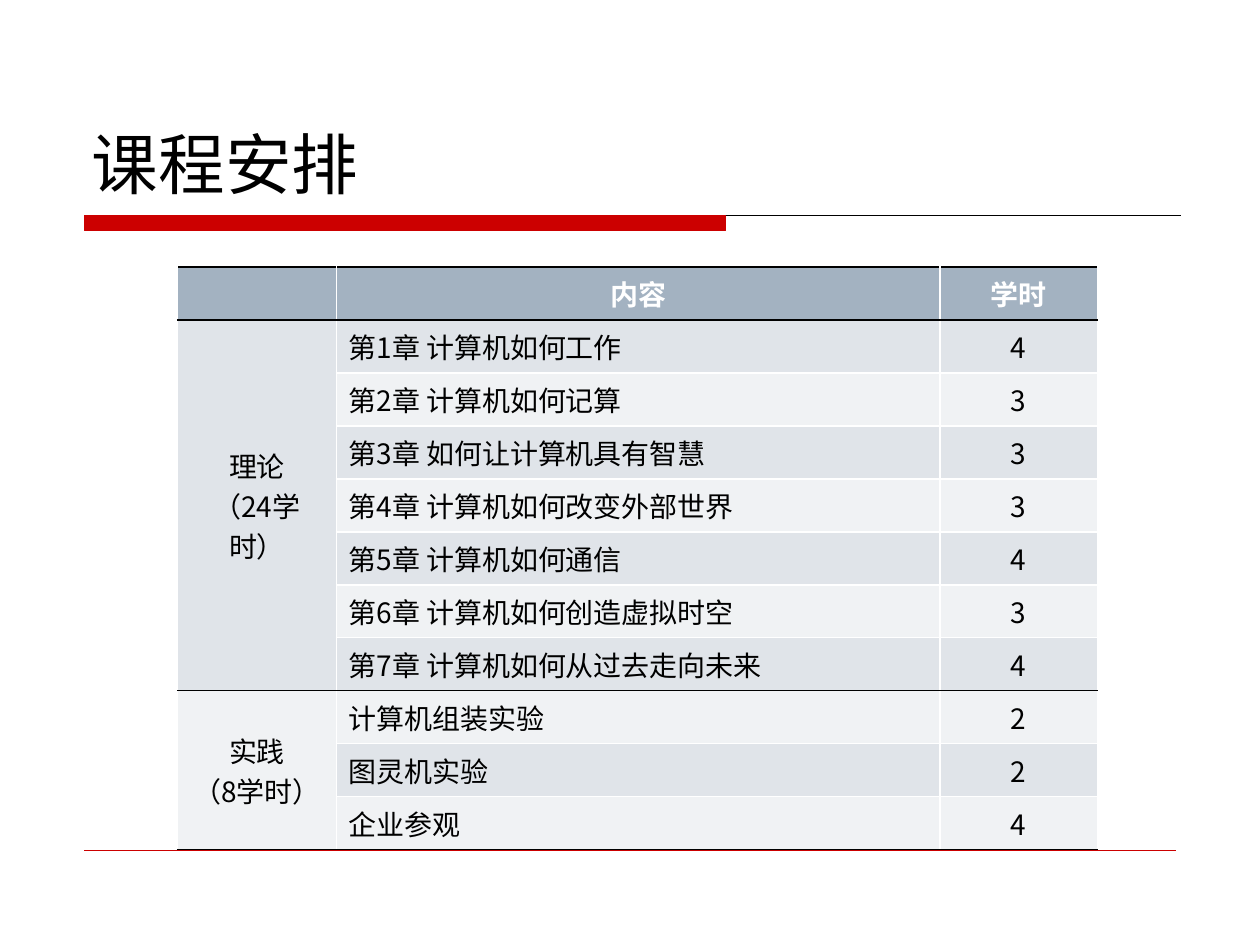
from dataclasses import dataclass

import pptx
import pptx.dml.color
import pptx.enum.shapes
import pptx.enum.text
import pptx.oxml
import pptx.oxml.ns
import pptx.util
from pptx.util import Cm

ALIGN = pptx.enum.text.PP_ALIGN
ANCHOR = pptx.enum.text.MSO_ANCHOR


@dataclass(frozen=True)
class Theme:
    font: str = "Noto Sans CJK SC"
    title_size: float = 38
    table_size: float = 16
    ink: str = "000000"
    paper: str = "FFFFFF"
    accent: str = "CC0000"
    header: str = "A3B2C1"
    bands: tuple = ("E0E4E9", "F0F2F4")


THEME = Theme()

HEADINGS = ("", "内容", "学时")
SECTIONS = (
    (("理论", "（24学时）"), (
        ("第1章 计算机如何工作", 4),
        ("第2章 计算机如何记算", 3),
        ("第3章 如何让计算机具有智慧", 3),
        ("第4章 计算机如何改变外部世界", 3),
        ("第5章 计算机如何通信", 4),
        ("第6章 计算机如何创造虚拟时空", 3),
        ("第7章 计算机如何从过去走向未来", 4),
    )),
    (("实践", "（8学时）"), (
        ("计算机组装实验", 2),
        ("图灵机实验", 2),
        ("企业参观", 4),
    )),
)


def rgb(value):
    return pptx.dml.color.RGBColor.from_string(value)


def write(frame, lines, size, color, align, bold=False):
    for number, line in enumerate(lines):
        paragraph = frame.add_paragraph() if number else frame.paragraphs[0]
        paragraph.alignment = align
        run = paragraph.add_run()
        run.text = line
        run.font.size = pptx.util.Pt(size)
        run.font.bold = bold
        run.font.color.rgb = rgb(color)
        run.font.name = THEME.font
        east_asian = pptx.oxml.parse_xml(
            f'<a:ea {pptx.oxml.ns.nsdecls("a")} typeface="{THEME.font}"/>')
        run.font._element.append(east_asian)


def add_rule(slide, left, top, width, color, weight):
    rule = slide.shapes.add_connector(
        pptx.enum.shapes.MSO_CONNECTOR.STRAIGHT, left, top, left + width, top)
    rule.line.color.rgb = rgb(color)
    rule.line.width = pptx.util.Pt(weight)
    rule._element.spPr.append(
        pptx.oxml.parse_xml(f'<a:effectLst {pptx.oxml.ns.nsdecls("a")}/>'))


def add_header(slide, left, top, width, height):
    """Place the title, with a thick and thin rule along the foot of the box."""
    bar_height = Cm(0.3)
    bar_top = top + height - bar_height
    add_rule(slide, left, bar_top, width, THEME.ink, 0.75)
    bar = slide.shapes.add_shape(
        pptx.enum.shapes.MSO_SHAPE.RECTANGLE, left, bar_top, Cm(12.93), bar_height)
    bar.shadow.inherit = False
    bar.fill.solid()
    bar.fill.fore_color.rgb = rgb(THEME.accent)
    bar.line.color.rgb = rgb(THEME.accent)
    bar.line.width = pptx.util.Pt(0.75)

    title = slide.shapes.title
    title.left, title.top = left - Cm(0.1), top
    title.width, title.height = width + Cm(0.12), Cm(3.38)
    title.text_frame.vertical_anchor = ANCHOR.BOTTOM
    write(title.text_frame, ["课程安排"], THEME.title_size, THEME.ink, ALIGN.LEFT)


def style_cell(cell, fill, top_color, bottom_color):
    properties = cell._tc.get_or_add_tcPr()
    sides = {"lnL": THEME.paper, "lnR": THEME.paper,
             "lnT": top_color, "lnB": bottom_color}
    for side, color in sides.items():
        properties.append(pptx.oxml.parse_xml(
            f'<a:{side} {pptx.oxml.ns.nsdecls("a")} w="12700"><a:solidFill>'
            f'<a:srgbClr val="{color}"/></a:solidFill></a:{side}>'))
    cell.fill.solid()
    cell.fill.fore_color.rgb = rgb(fill)


def add_schedule(slide, left, top, width, row_height):
    row_count = 1 + sum(len(lessons) for _, lessons in SECTIONS)
    schedule = slide.shapes.add_table(
        row_count, len(HEADINGS), left, top, width, row_height * row_count).table
    label_width, hours_width = Cm(3.2), Cm(3.17)
    widths = (label_width, width - label_width - hours_width, hours_width)
    for column, column_width in zip(schedule.columns, widths):
        column.width = column_width
    for row in schedule.rows:
        row.height = row_height

    for column, heading in enumerate(HEADINGS):
        cell = schedule.cell(0, column)
        style_cell(cell, THEME.header, THEME.ink, THEME.ink)
        if heading:
            write(cell.text_frame, [heading], THEME.table_size, THEME.paper,
                  ALIGN.CENTER, bold=True)

    first = 1
    for label, lessons in SECTIONS:
        last = first + len(lessons) - 1
        label_cell = schedule.cell(first, 0)
        label_cell.merge(schedule.cell(last, 0))
        label_cell.vertical_anchor = ANCHOR.MIDDLE
        write(label_cell.text_frame, label, THEME.table_size, THEME.ink, ALIGN.CENTER)
        for row, (lesson, hours) in enumerate(lessons, first):
            top_color = THEME.ink if row == first else THEME.paper
            bottom_color = THEME.ink if row == last else THEME.paper
            band = THEME.bands[(row - 1) % 2]
            style_cell(schedule.cell(row, 0), THEME.bands[(first - 1) % 2],
                       top_color, THEME.ink if row == first else bottom_color)
            entries = ((lesson, ALIGN.LEFT), (str(hours), ALIGN.CENTER))
            for column, (entry, align) in enumerate(entries, 1):
                cell = schedule.cell(row, column)
                style_cell(cell, band, top_color, bottom_color)
                write(cell.text_frame, [entry], THEME.table_size, THEME.ink, align)
        first = last + 1


def main():
    deck = pptx.Presentation()
    deck.slide_width, deck.slide_height = Cm(25.4), Cm(19.05)
    slide = deck.slides.add_slide(deck.slide_layouts[5])
    slide.background.fill.solid()
    slide.background.fill.fore_color.rgb = rgb(THEME.paper)
    add_header(slide, Cm(1.7), Cm(0.84), Cm(22.1), Cm(3.81))
    add_rule(slide, Cm(1.7), Cm(17.15), Cm(22), THEME.accent, 0.25)
    add_schedule(slide, Cm(3.58), Cm(5.38), Cm(18.54), Cm(0.93))
    deck.save("out.pptx")


if __name__ == "__main__":
    main()
